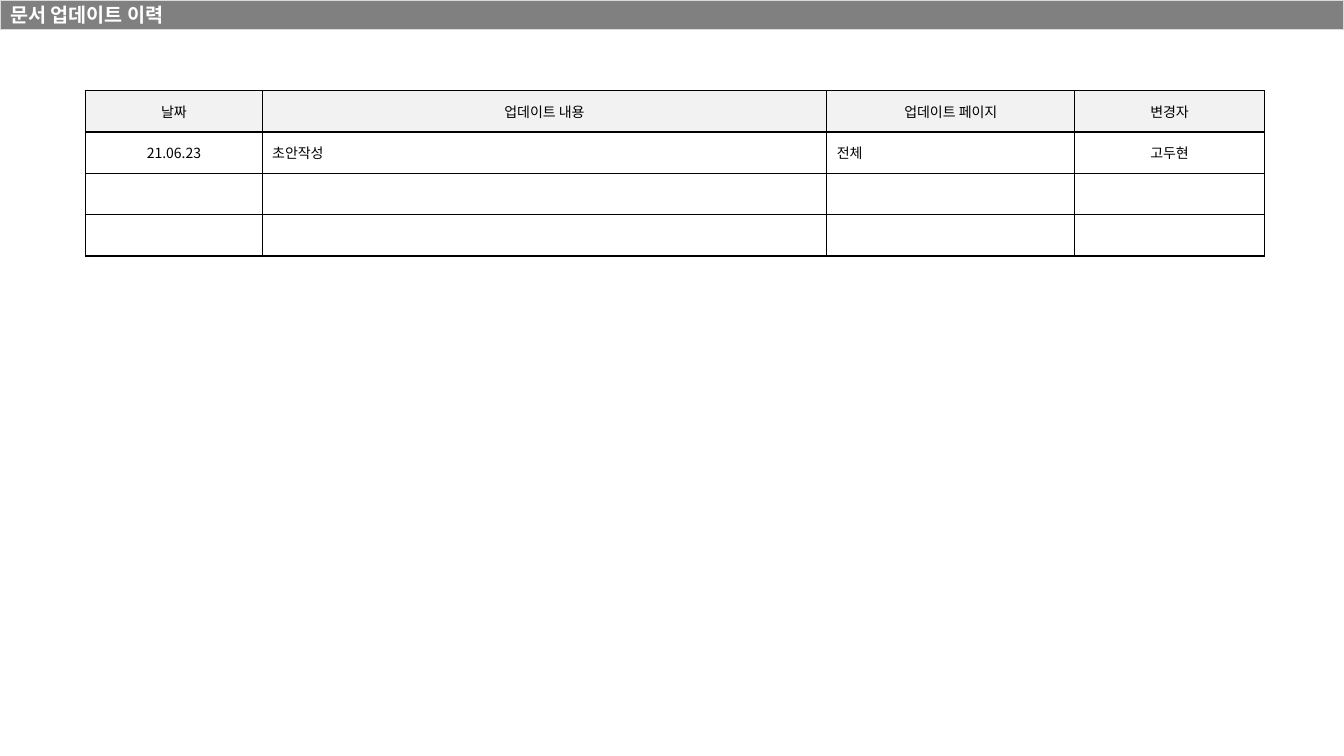
from lxml import etree
from pptx import Presentation
from pptx.dml.color import RGBColor
from pptx.enum.text import MSO_ANCHOR, MSO_AUTO_SIZE, PP_ALIGN
from pptx.oxml.ns import qn
from pptx.util import Inches, Pt


def color(hex_value):
    return RGBColor.from_string(hex_value)


class SlideBuilder:
    FONT = "Noto Sans CJK KR"
    BAR, BAR_LINE, BAR_TEXT = "808080", "D9D9D9", "FFFFFF"
    HEADER, INK = "F2F2F2", "000000"

    def __init__(self, prs):
        self.slide = prs.slides.add_slide(prs.slide_layouts[5])

    def add_text(self, paragraph, text, size, ink, align, bold=False):
        paragraph.alignment = align
        if not text:
            end = etree.SubElement(paragraph._p, qn("a:endParaRPr"))
            end.set("sz", str(size * 100))
            return
        run = paragraph.add_run()
        run.text = text
        run.font.name = self.FONT
        run.font.size = Pt(size)
        run.font.bold = bold
        run.font.color.rgb = color(ink)
        east_asian = etree.SubElement(run._r.get_or_add_rPr(), qn("a:ea"))
        east_asian.set("typeface", self.FONT)

    def title_bar(self, text, width, height):
        bar = self.slide.shapes.title
        bar.left, bar.top = Inches(0), Inches(0)
        bar.width, bar.height = Inches(width), Inches(height)
        bar.fill.solid()
        bar.fill.fore_color.rgb = color(self.BAR)
        bar.line.color.rgb = color(self.BAR_LINE)
        bar.line.width = Pt(1)
        frame = bar.text_frame
        frame.auto_size = MSO_AUTO_SIZE.NONE
        frame.word_wrap = True
        frame.vertical_anchor = MSO_ANCHOR.MIDDLE
        frame.margin_top = frame.margin_bottom = 0
        self.add_text(frame.paragraphs[0], text, 14, self.BAR_TEXT, PP_ALIGN.LEFT, True)

    def border(self, cell):
        properties = cell._tc.get_or_add_tcPr()
        for index, side in enumerate(("lnL", "lnR", "lnT", "lnB")):
            line = etree.Element(qn(f"a:{side}"), w=str(Pt(1)))
            fill = etree.SubElement(line, qn("a:solidFill"))
            etree.SubElement(fill, qn("a:srgbClr"), val=self.INK)
            properties.insert(index, line)

    def table(self, rows, left, top, widths, row_height, left_columns):
        table = self.slide.shapes.add_table(
            len(rows), len(widths), Inches(left), Inches(top),
            Inches(sum(widths)), Inches(row_height * len(rows))).table
        table.first_row = table.horz_banding = False
        for column, width in zip(table.columns, widths):
            column.width = Inches(width)
        for r, texts in enumerate(rows):
            table.rows[r].height = Inches(row_height)
            for c, text in enumerate(texts):
                cell = table.cell(r, c)
                cell.vertical_anchor = MSO_ANCHOR.MIDDLE
                if r == 0:
                    cell.fill.solid()
                    cell.fill.fore_color.rgb = color(self.HEADER)
                else:
                    cell.fill.background()
                align = PP_ALIGN.LEFT if r and c in left_columns else PP_ALIGN.CENTER
                self.add_text(cell.text_frame.paragraphs[0], text, 10, self.INK, align)
                self.border(cell)


prs = Presentation()
prs.slide_width, prs.slide_height = Inches(13.33), Inches(7.5)

history = SlideBuilder(prs)
history.title_bar("문서 업데이트 이력", 13.33, 0.29)
history.table(
    [
        ["날짜", "업데이트 내용", "업데이트 페이지", "변경자"],
        ["21.06.23", "초안작성", "전체", "고두현"],
        [""] * 4,
        [""] * 4,
    ],
    left=0.85, top=0.9, widths=[1.75, 5.6, 2.46, 1.88],
    row_height=0.41, left_columns=(1, 2))

prs.save("out.pptx")
